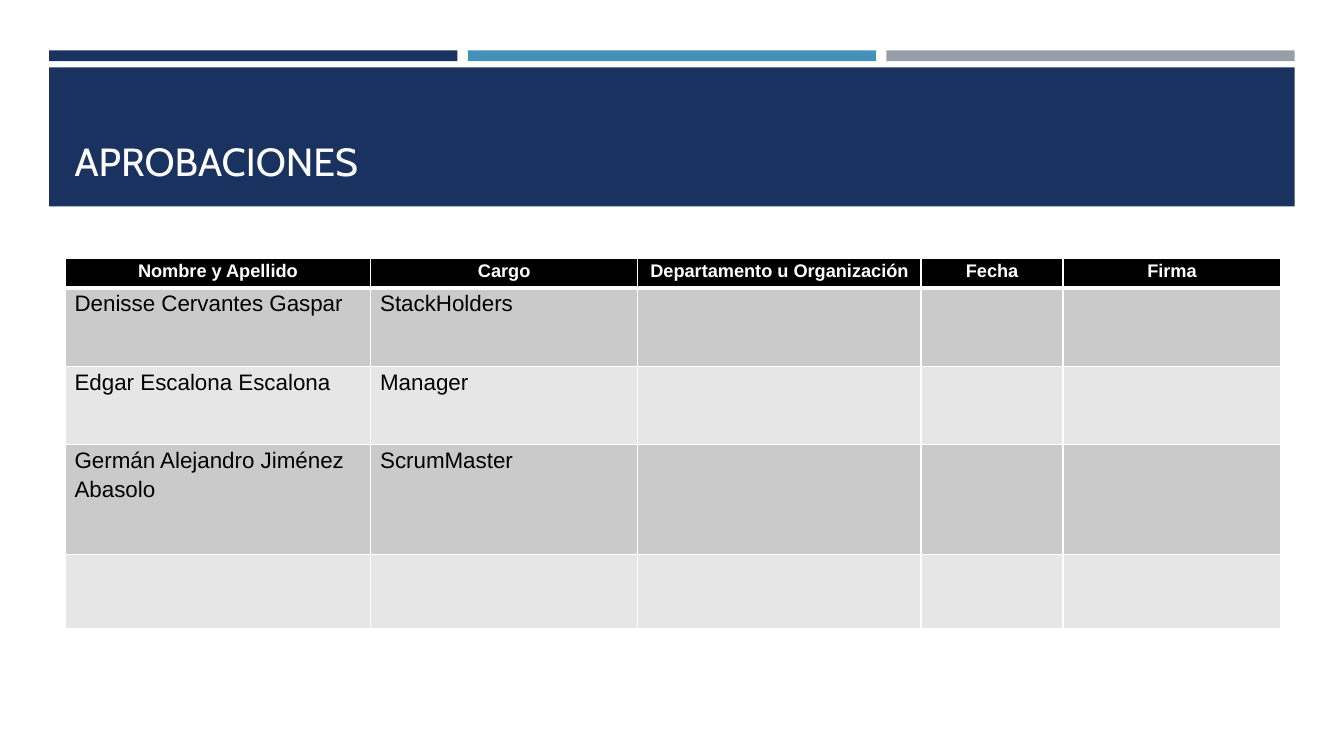
import lxml.etree
import pptx
import pptx.dml.color
import pptx.enum.shapes
import pptx.enum.text
import pptx.oxml.ns
import pptx.util

Cm = pptx.util.Cm
Pt = pptx.util.Pt
qn = pptx.oxml.ns.qn
ALIGN = pptx.enum.text.PP_ALIGN
ANCHOR = pptx.enum.text.MSO_ANCHOR

NAVY, BLUE, GRAY = "1A3260", "4590B8", "969FA7"
HEADERS = ["Nombre y Apellido", "Cargo", "Departamento u Organización", "Fecha", "Firma"]
PEOPLE = [
    ["Denisse Cervantes Gaspar", "StackHolders"],
    ["Edgar Escalona Escalona", "Manager"],
    ["Germán Alejandro Jiménez Abasolo", "ScrumMaster"],
    [],
]
COL_WIDTHS = [7.7, 6.73, 7.14, 3.58, 5.49]
ROW_HEIGHTS = [0.74, 1.98, 1.98, 2.77, 1.85]
HEADER_FORMAT = {"name": "Arial", "size": Pt(13), "bold": True}
BODY_FORMAT = {"name": "Arial", "size": Pt(16), "bold": False}
TITLE_FORMAT = {"name": "Cabin", "size": Pt(28), "bold": False}


def rgb(color):
    return pptx.dml.color.RGBColor.from_string(color)


def set_attrs(obj, values):
    for name, value in values.items():
        setattr(obj, name, value)


def add_run(p, text, font_format, color):
    r = p.add_run()
    r.text = text
    set_attrs(r.font, font_format)
    r.font.color.rgb = rgb(color)


def add_rect(slide, left, top, width, height, color):
    sp = slide.shapes.add_shape(pptx.enum.shapes.MSO_SHAPE.RECTANGLE,
                                Cm(left), Cm(top), Cm(width), Cm(height))
    sp.shadow.inherit = False
    sp.fill.solid()
    sp.fill.fore_color.rgb = rgb(color)
    sp.line.fill.background()


def add_stripes(slide, left, top, width, height, gap):
    colors = [NAVY, BLUE, GRAY]
    stripe = (width - gap * (len(colors) - 1)) / len(colors)
    for i, color in enumerate(colors):
        add_rect(slide, left + i * (stripe + gap), top, stripe, height, color)


def add_title_band(slide, left, top, width, height, text):
    add_rect(slide, left, top, width, height, NAVY)
    tb = slide.shapes.add_textbox(Cm(left + 0.39), Cm(top + 0.26),
                                  Cm(width - 0.78), Cm(height - 0.68))
    tf = tb.text_frame
    set_attrs(tf, {"word_wrap": True, "vertical_anchor": ANCHOR.BOTTOM})
    add_run(tf.paragraphs[0], text, TITLE_FORMAT, "FFFEFF")


def set_borders(cell, widths):
    tcPr = cell._tc.get_or_add_tcPr()
    for side, width in widths.items():
        ln = lxml.etree.SubElement(tcPr, qn("a:ln" + side), w=str(Pt(width)))
        fill = lxml.etree.SubElement(ln, qn("a:solidFill"))
        lxml.etree.SubElement(fill, qn("a:srgbClr"), val="FFFFFF")


def fill_cell(cell, text, fill, color, font_format, align, borders):
    set_borders(cell, borders)
    cell.fill.solid()
    cell.fill.fore_color.rgb = rgb(fill)
    set_attrs(cell, {"margin_left": Cm(0.24), "margin_right": Cm(0.24),
                     "margin_top": 0, "margin_bottom": 0})
    p = cell.text_frame.paragraphs[0]
    set_attrs(p, {"alignment": align, "line_spacing": 1.15})
    if text:
        add_run(p, text, font_format, color)


def add_approvals(slide, left, top, col_widths, row_heights):
    table = slide.shapes.add_table(len(row_heights), len(col_widths), Cm(left), Cm(top),
                                   Cm(sum(col_widths)), Cm(sum(row_heights))).table
    for col, width in zip(table.columns, col_widths):
        col.width = Cm(width)
    for row, height in zip(table.rows, row_heights):
        row.height = Cm(height)
    for i, texts in enumerate([HEADERS] + PEOPLE):
        for j in range(len(col_widths)):
            text = texts[j] if j < len(texts) else ""
            cell = table.cell(i, j)
            borders = {"L": 1, "R": 1, "T": 3 if i == 1 else 1, "B": 3 if i == 0 else 1}
            if i == 0:
                fill_cell(cell, text, "000000", "FFFFFF", HEADER_FORMAT, ALIGN.CENTER, borders)
            else:
                fill = "CACACA" if i % 2 else "E6E6E6"
                fill_cell(cell, text, fill, "000000", BODY_FORMAT, ALIGN.LEFT, borders)


def main():
    prs = pptx.Presentation()
    set_attrs(prs, {"slide_width": Cm(33.87), "slide_height": Cm(19.05)})
    slide = prs.slides.add_slide(prs.slide_layouts[6])
    add_stripes(slide, 1.24, 1.27, 31.39, 0.27, 0.26)
    add_title_band(slide, 1.24, 1.7, 31.39, 3.5, "APROBACIONES")
    add_approvals(slide, 1.64, 6.51, COL_WIDTHS, ROW_HEIGHTS)
    prs.save("out.pptx")


if __name__ == "__main__":
    main()
